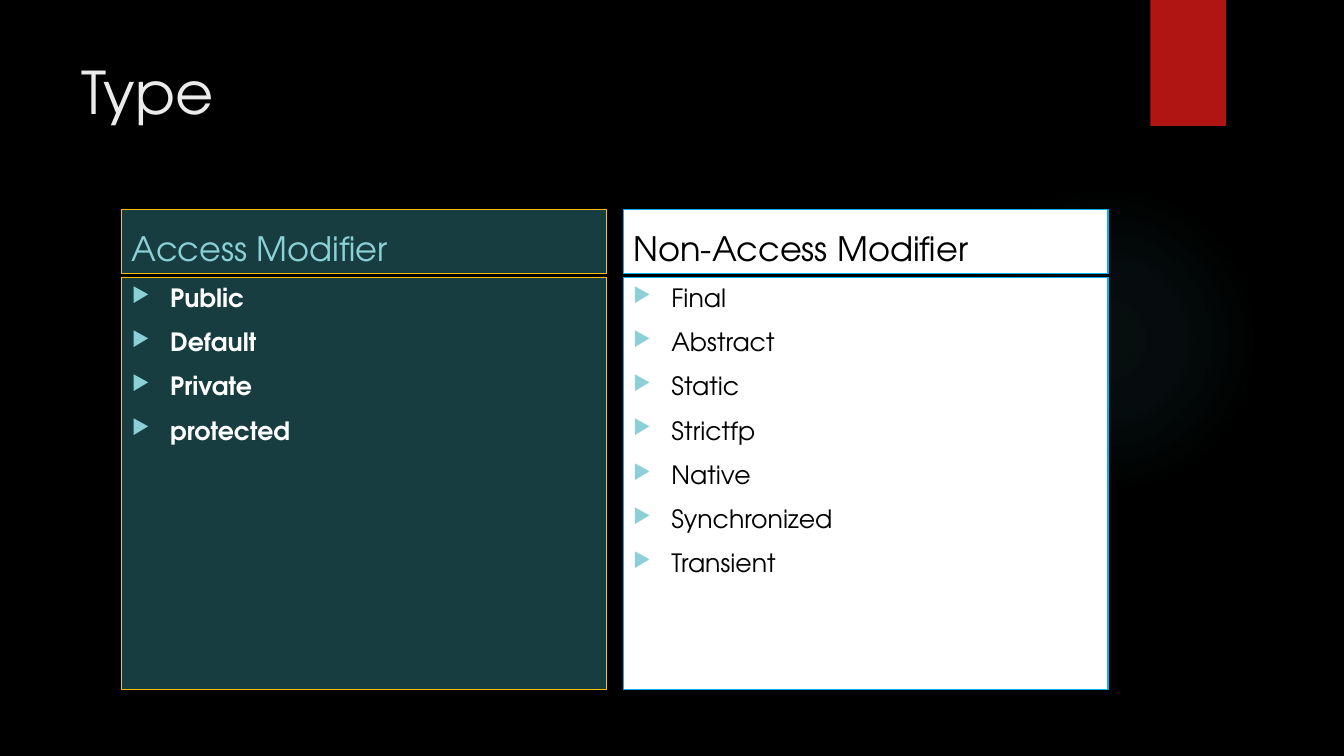
from collections import namedtuple

from lxml.etree import SubElement
from pptx import Presentation
from pptx.dml.color import RGBColor
from pptx.enum.shapes import MSO_SHAPE
from pptx.enum.text import MSO_ANCHOR, PP_ALIGN
from pptx.oxml import parse_xml
from pptx.oxml.ns import nsdecls, qn
from pptx.util import Inches, Pt

BLACK = RGBColor(0x00, 0x00, 0x00)
WHITE = RGBColor(0xFF, 0xFF, 0xFF)
TITLE_GREY = RGBColor(0xEB, 0xEB, 0xEB)
RIBBON_RED = RGBColor(0xB0, 0x15, 0x13)
GLOW_TEAL = RGBColor(0x50, 0xB9, 0xC1)
DARK_TEAL = RGBColor(0x17, 0x3D, 0x40)
PALE_TEAL = RGBColor(0x8A, 0xD0, 0xD6)
AMBER = RGBColor(0xFF, 0xC0, 0x00)
SKY_BLUE = RGBColor(0x00, 0xB0, 0xF0)

FONT = "TeX Gyre Adventor"
INDENT = Inches(0.38)
HEADING_SHARE = 0.63 / 4.76
LIST_SHARE = 4.09 / 4.76
COLUMN_GAP = 0.16

Box = namedtuple("Box", "left top width height")
Panel = namedtuple("Panel", "heading items fill line heading_color item_color bold")

PANELS = [
    Panel("Access Modifier", ["Public", "Default", "Private", "protected"],
          DARK_TEAL, AMBER, PALE_TEAL, WHITE, True),
    Panel("Non-Access Modifier",
          ["Final", "Abstract", "Static", "Strictfp", "Native", "Synchronized", "Transient"],
          WHITE, SKY_BLUE, BLACK, BLACK, False),
]


def add_block(page, box, kind, fill, line=None):
    """Add a shadowless shape with a solid fill and an optional thin outline."""
    shape = page.shapes.add_shape(kind, *map(Inches, box))
    shape.shadow.inherit = False
    shape.fill.solid()
    shape.fill.fore_color.rgb = fill
    if line is None:
        shape.line.fill.background()
    else:
        shape.line.color.rgb = line
        shape.line.width = Pt(0.75)
    return shape


def style_paragraph(para, size, color, bold=False):
    """Set the font of a whole paragraph."""
    para.alignment = PP_ALIGN.LEFT
    para.font.name = FONT
    para.font.size = Pt(size)
    para.font.bold = bold
    para.font.color.rgb = color


def add_bullet(para):
    """Give a paragraph a hanging triangle bullet."""
    properties = para._p.get_or_add_pPr()
    properties.set("marL", str(INDENT))
    properties.set("indent", str(-INDENT))
    color = SubElement(properties, qn("a:buClr"))
    SubElement(color, qn("a:srgbClr"), val=str(PALE_TEAL))
    SubElement(properties, qn("a:buSzPct"), val="80000")
    SubElement(properties, qn("a:buChar"), char="\u25b6")


def fill_text(shape, lines, size, color, anchor, bold=False, bulleted=False):
    """Write lines as evenly spaced paragraphs in a shape."""
    frame = shape.text_frame
    frame.word_wrap = True
    frame.vertical_anchor = anchor
    frame.text = "\n".join(lines)
    for para in frame.paragraphs:
        para.space_before = Pt(10)
        if bulleted:
            add_bullet(para)
        style_paragraph(para, size, color, bold)


def add_glow(page, box):
    """Add a round glow that fades out from its centre."""
    glow = add_block(page, box, MSO_SHAPE.OVAL, GLOW_TEAL)
    stops = "".join(
        f'<a:gs pos="{place}000"><a:srgbClr val="{GLOW_TEAL}">'
        f'<a:alpha val="{alpha}000"/></a:srgbClr></a:gs>'
        for place, alpha in [(0, 7), (36, 6), (69, 0), (100, 0)])
    gradient = parse_xml(
        f'<a:gradFill {nsdecls("a")}><a:gsLst>{stops}</a:gsLst><a:path path="circle">'
        '<a:fillToRect l="50000" t="50000" r="50000" b="50000"/></a:path></a:gradFill>')
    properties = glow._element.spPr
    properties.replace(properties.find(qn("a:solidFill")), gradient)


def add_title(page, box, text):
    """Add the slide title at the top of its box."""
    frame = page.shapes.add_textbox(*map(Inches, box)).text_frame
    frame.word_wrap = True
    frame.text = text
    style_paragraph(frame.paragraphs[0], 42, TITLE_GREY)


def add_panel(page, box, panel):
    """Add a heading block above a bulleted list block."""
    heading_box = box._replace(height=box.height * HEADING_SHARE)
    list_height = box.height * LIST_SHARE
    list_box = box._replace(top=box.top + box.height - list_height, height=list_height)
    heading = add_block(page, heading_box, MSO_SHAPE.RECTANGLE, panel.fill, panel.line)
    fill_text(heading, [panel.heading], 24, panel.heading_color, MSO_ANCHOR.BOTTOM)
    listing = add_block(page, list_box, MSO_SHAPE.RECTANGLE, panel.fill, panel.line)
    fill_text(listing, panel.items, 18, panel.item_color, MSO_ANCHOR.TOP,
              panel.bold, bulleted=True)


def add_comparison(page, box, panels):
    """Place panels side by side in equal columns."""
    width = (box.width - COLUMN_GAP * (len(panels) - 1)) / len(panels)
    for column, panel in enumerate(panels):
        left = box.left + column * (width + COLUMN_GAP)
        add_panel(page, box._replace(left=left, width=width), panel)


def build_deck():
    """Build and save the one-slide deck."""
    deck = Presentation()
    deck.slide_width, deck.slide_height = Inches(13.33), Inches(7.5)
    page = deck.slides.add_slide(deck.slide_layouts[6])
    page.background.fill.solid()
    page.background.fill.fore_color.rgb = BLACK
    add_glow(page, Box(9.41, 1.83, 3.08, 3.08))
    add_block(page, Box(11.41, 0, 0.75, 1.25), MSO_SHAPE.RECTANGLE, RIBBON_RED)
    add_title(page, Box(0.71, 0.5, 10.29, 1.53), "Type")
    add_comparison(page, Box(1.21, 2.08, 9.78, 4.76), PANELS)
    deck.save("out.pptx")


build_deck()
